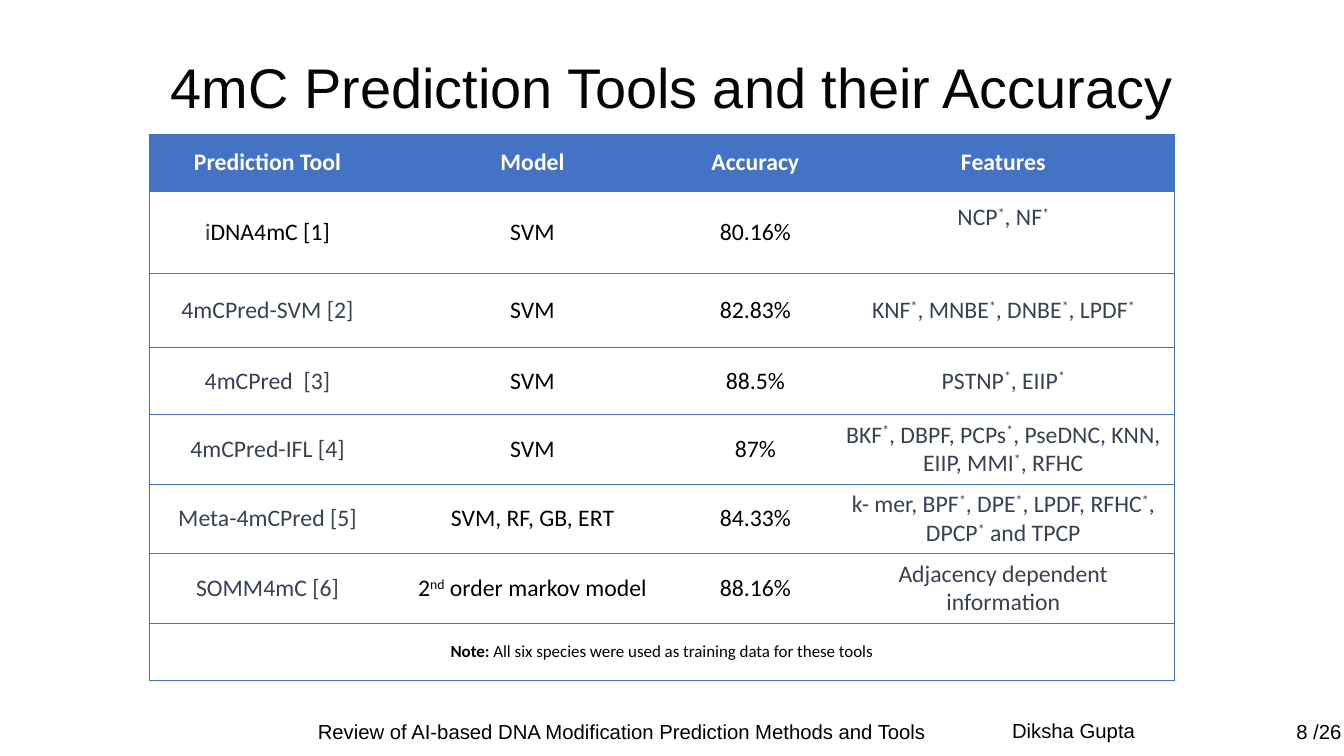
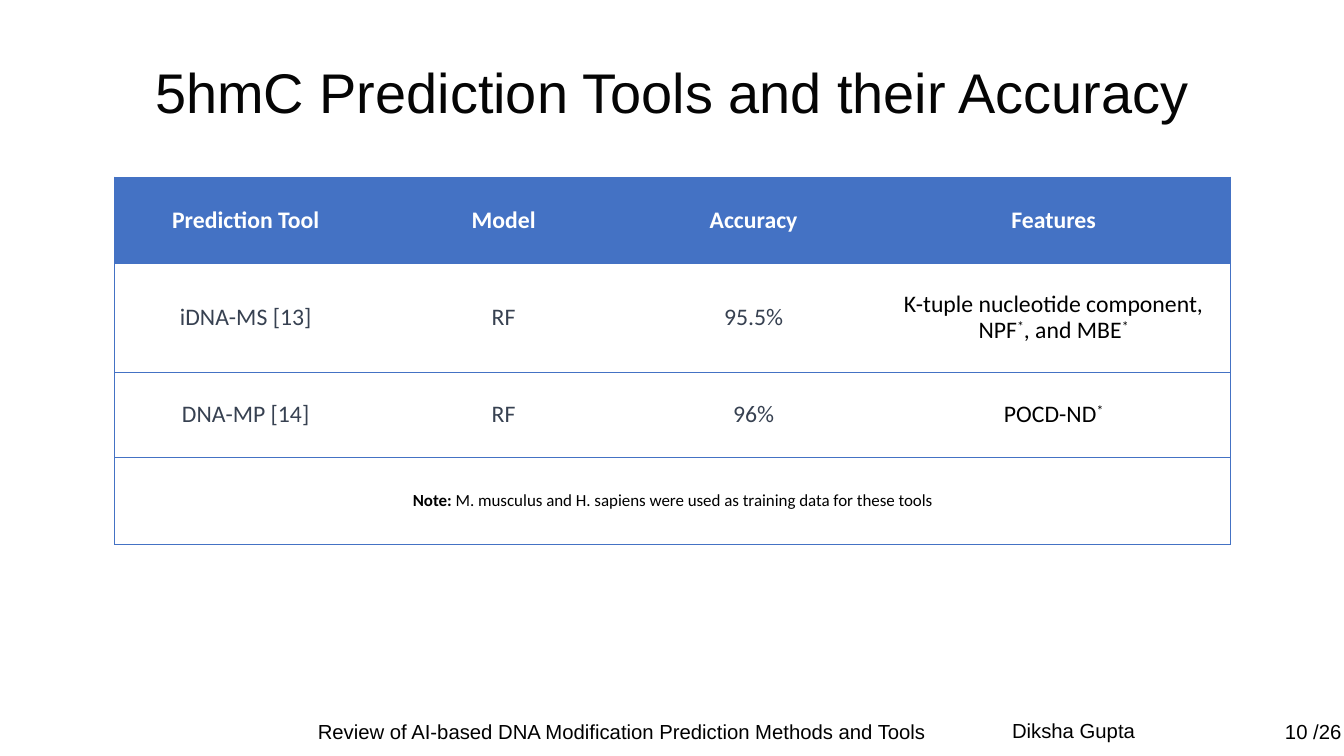
from dataclasses import dataclass
from itertools import product

from lxml.etree import SubElement
from pptx import Presentation
from pptx.dml.color import RGBColor
from pptx.enum.text import MSO_ANCHOR, PP_ALIGN
from pptx.oxml.ns import qn
from pptx.util import Inches, Pt


@dataclass(frozen=True)
class Theme:
    title_color: str = "050505"
    black: str = "000000"
    slate: str = "374151"
    white: str = "FFFFFF"
    accent: str = "4472C4"
    display_font: str = "Arial"
    table_font: str = "Calibri"
    title_size: float = 33
    table_size: float = 14
    note_size: float = 10
    footer_size: float = 12
    border_width: float = 0.23
    plain_table: str = "{2D5ABB26-0587-4C30-8999-92F81FD0307C}"


@dataclass(frozen=True)
class Span:
    text: str
    color: str = ""
    bold: bool = False
    raised: bool = False


def as_spans(content):
    if not isinstance(content, str):
        return content
    return [Span(text, raised=index % 2 == 1)
            for index, text in enumerate(content.split("^")) if text]


def divide(total, weights):
    return [round(total * weight / sum(weights)) for weight in weights]


class ReviewDeck:
    HEADERS = ("Prediction Tool", "Model", "Accuracy", "Features")
    SUBJECT = "Review of AI-based DNA Modification Prediction Methods and Tools"
    AUTHOR = "Diksha Gupta"
    PAGE_COUNT = 26

    def __init__(self, theme):
        self.theme = theme
        self.deck = Presentation()
        self.deck.slide_width = Inches(11.02)
        self.deck.slide_height = Inches(6.2)
        self.page = None

    def area(self, left, top, width, height):
        across, down = self.deck.slide_width, self.deck.slide_height
        return [round(share * side / 100) for share, side in
                zip((left, top, width, height), (across, down, across, down))]

    def add_page(self, title, title_top, number):
        self.page = self.deck.slides.add_slide(self.deck.slide_layouts[6])
        self.add_title(title, title_top)
        self.add_footer(number)

    def format_span(self, span, font, size, color, bold=False):
        span.font.name = font
        span.font.size = Pt(size)
        span.font.bold = bold
        span.font.color.rgb = RGBColor.from_string(color)

    def add_text(self, area, text, size, color, align, insets, wrap):
        box = self.page.shapes.add_textbox(*self.area(*area))
        frame = box.text_frame
        frame.word_wrap = wrap
        frame.margin_left, frame.margin_top, frame.margin_right, frame.margin_bottom = map(Inches, insets)
        frame.text = text
        para = frame.paragraphs[0]
        para.alignment = align
        self.format_span(para.runs[0], self.theme.display_font, size, color)
        return box

    def add_title(self, text, top):
        box = self.add_text((9.8, top, 80.4, 16.45), text, self.theme.title_size,
                            self.theme.title_color, PP_ALIGN.CENTER, (0, 0, 0, 0), True)
        box.text_frame.vertical_anchor = MSO_ANCHOR.MIDDLE

    def add_footer(self, number):
        entries = (
            (self.SUBJECT, (21.42, 94.35, 49.73, 4.84), PP_ALIGN.CENTER, 0.1),
            (self.AUTHOR, (74.41, 94.19, 11.34, 4.84), PP_ALIGN.LEFT, 0.1),
            (f"{number} /{self.PAGE_COUNT}", (88.93, 94.35, 10.89, 4.84), PP_ALIGN.RIGHT, 0),
        )
        for text, area, align, right in entries:
            self.add_text(area, text, self.theme.footer_size, self.theme.black,
                          align, (0.1, 0.05, right, 0.05), False)

    def add_borders(self, cell, sides):
        properties = cell._tc.get_or_add_tcPr()
        for side in sides:
            line = SubElement(properties, qn(f"a:ln{side}"), w=str(Pt(self.theme.border_width)))
            fill = SubElement(line, qn("a:solidFill"))
            SubElement(fill, qn("a:srgbClr"), val=self.theme.accent)

    def fill_cell(self, cell, content, size, color, bold=False, spacing=None):
        cell.vertical_anchor = MSO_ANCHOR.MIDDLE
        para = cell.text_frame.paragraphs[0]
        para.alignment = PP_ALIGN.CENTER
        para.line_spacing = spacing
        for part in as_spans(content):
            span = para.add_run()
            span.text = part.text
            self.format_span(span, self.theme.table_font, size, part.color or color, bold or part.bold)
            if part.raised:
                span.font._element.set("baseline", "30000")

    def add_tool_table(self, area, columns, rows, tools, colors, note, spacing=None):
        theme = self.theme
        left, top, width, height = self.area(*area)
        last_row, last_column = len(rows) - 1, len(columns) - 1
        frame = self.page.shapes.add_table(len(rows), len(columns), left, top, width, height)
        table = frame.table
        table.first_row = table.horz_banding = False
        table._tbl.tblPr.find(qn("a:tableStyleId")).text = theme.plain_table
        for column, size in zip(table.columns, divide(width, columns)):
            column.width = size
        for row, size in zip(table.rows, divide(height, rows)):
            row.height = size
        table.cell(last_row, 0).merge(table.cell(last_row, last_column))

        for row, column in product(range(len(rows)), range(len(columns))):
            cell = table.cell(row, column)
            on_left = column == 0
            on_right = column == last_column or row == last_row
            self.add_borders(cell, "L" * on_left + "R" * on_right + "TB")
            if row == 0:
                cell.fill.solid()
                cell.fill.fore_color.rgb = RGBColor.from_string(theme.accent)
                self.fill_cell(cell, self.HEADERS[column], theme.table_size, theme.white, bold=True)
            elif row < last_row:
                self.fill_cell(cell, tools[row - 1][column], theme.table_size,
                               colors[column], spacing=spacing)
        self.fill_cell(table.cell(last_row, 0), [Span("Note: ", bold=True), Span(note)],
                       theme.note_size, theme.black)
        return table


def main():
    theme = Theme()
    review = ReviewDeck(theme)

    review.add_page("4mC Prediction Tools and their Accuracy", 3.23, 8)
    table = review.add_tool_table(
        area=(11.07, 17.74, 76.32, 72.26),
        columns=(195, 240, 126, 281),
        rows=(47, 67, 61, 55, 57, 57, 57, 47),
        tools=(
            ([Span("i"), Span("DNA4mC [1]", theme.black)], "SVM", "80.16%", "NCP^*^, NF^*^"),
            ("4mCPred-SVM [2]", "SVM", "82.83%", "KNF^*^, MNBE^*^, DNBE^*^, LPDF^*^"),
            ("4mCPred  [3]", "SVM", "88.5%", "PSTNP^*^, EIIP^*^"),
            ("4mCPred-IFL [4]", "SVM", "87%",
             "BKF^*^, DBPF, PCPs^*^, PseDNC, KNN, EIIP, MMI^*^, RFHC"),
            ("Meta-4mCPred [5]", "SVM, RF, GB, ERT", "84.33%",
             "k- mer, BPF^*^, DPE^*^, LPDF, RFHC^*^, DPCP^*^ and TPCP"),
            ("SOMM4mC [6]", "2^nd^ order markov model", "88.16%", "Adjacency dependent information"),
        ),
        colors=(theme.slate, theme.black, theme.black, theme.slate),
        note="All six species were used as training data for these tools",
    )
    table.cell(1, 3).margin_bottom = Inches(0.29)

    review.add_page("5hmC Prediction Tools and their Accuracy", 3.87, 10)
    review.add_tool_table(
        area=(8.53, 23.39, 83.03, 48.55),
        columns=(215, 208, 202, 290),
        rows=(71, 90, 70, 71),
        tools=(
            ("iDNA-MS [13]", "RF", "95.5%", "K-tuple nucleotide component, NPF^*^, and MBE^*^"),
            ("DNA-MP [14]", "RF", "96%", "POCD-ND^*^"),
        ),
        colors=(theme.slate, theme.slate, theme.slate, theme.black),
        note="M. musculus and H. sapiens were used as training data for these tools",
        spacing=0.9,
    )
    review.deck.save("out.pptx")


if __name__ == "__main__":
    main()
